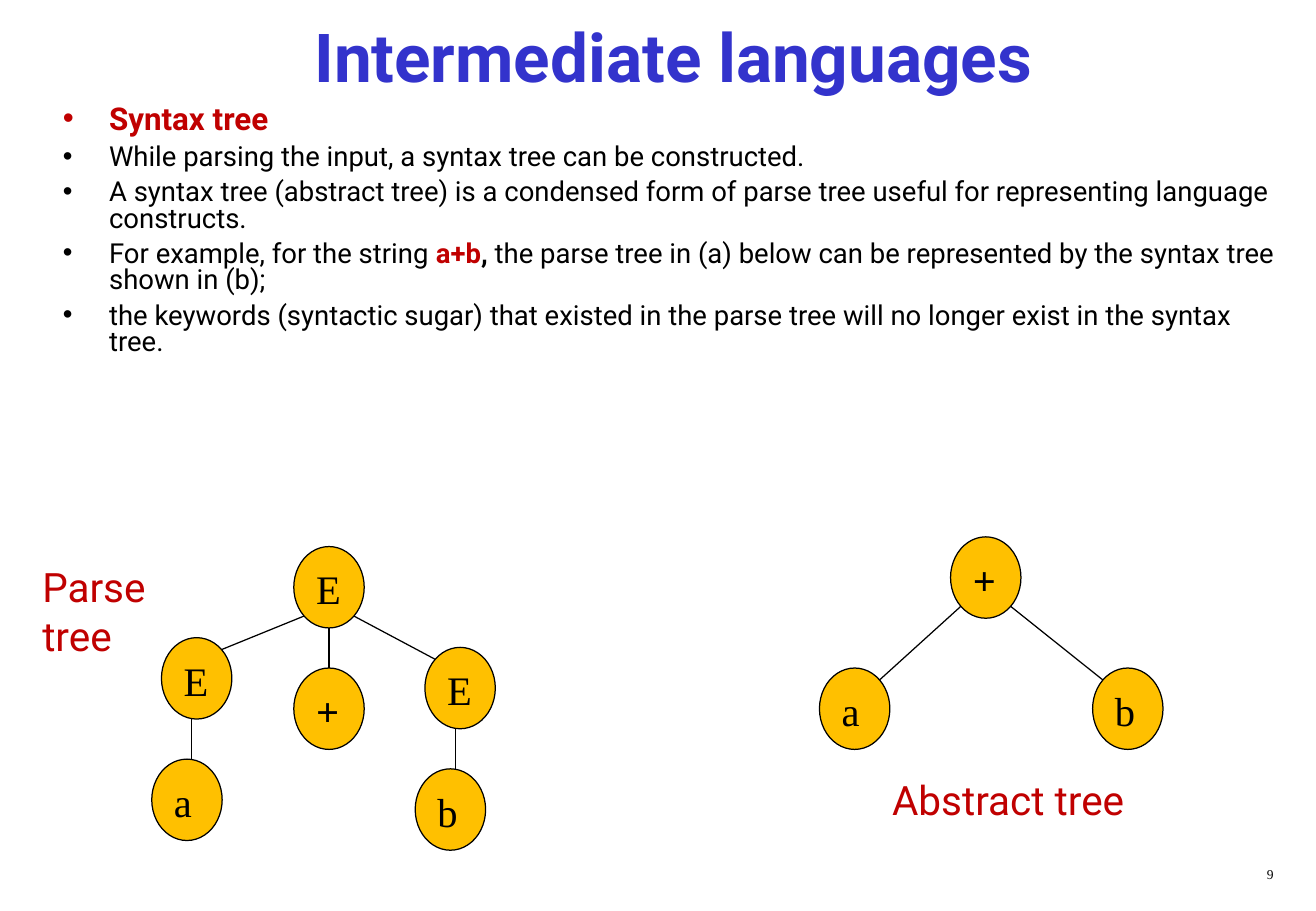
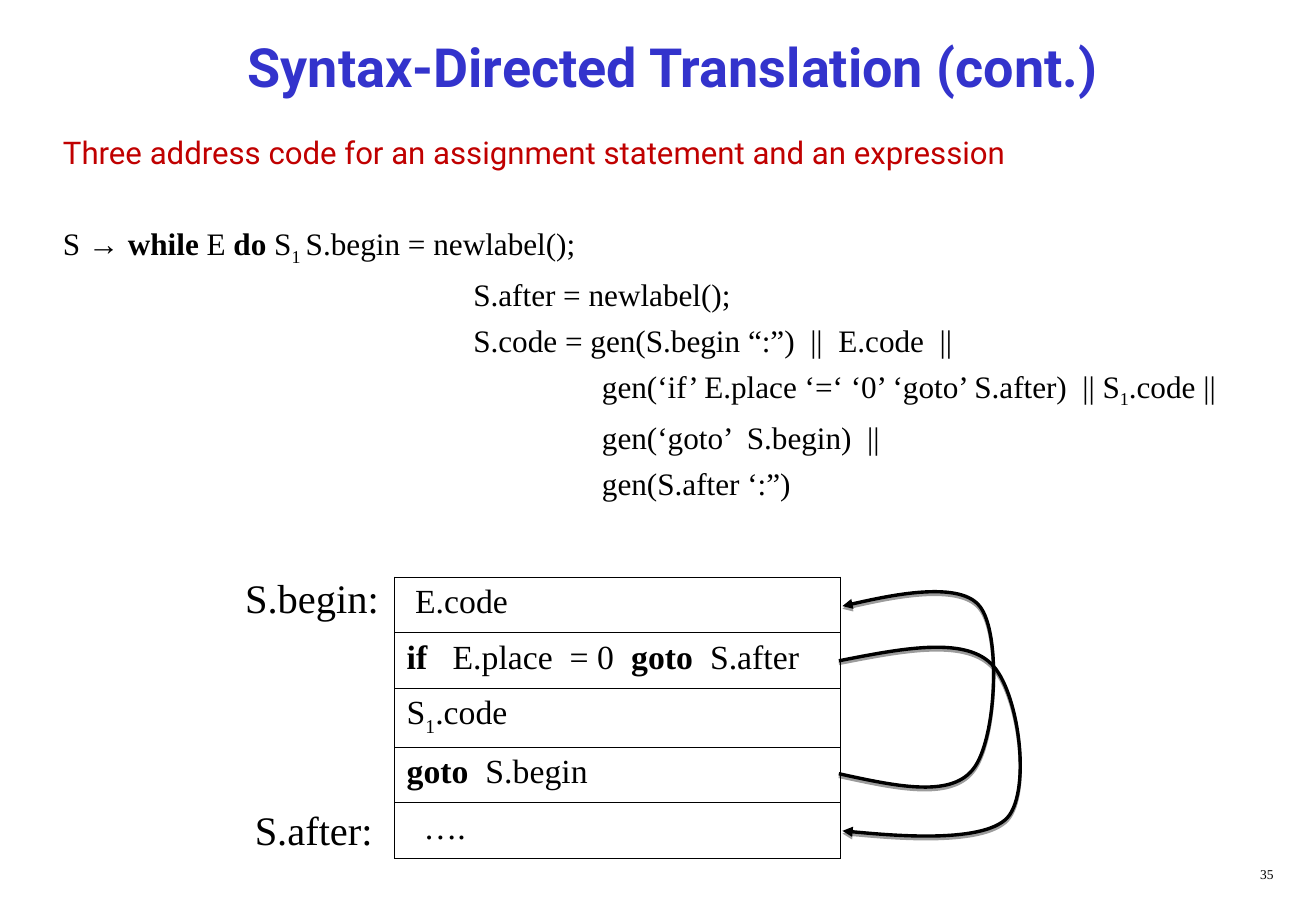
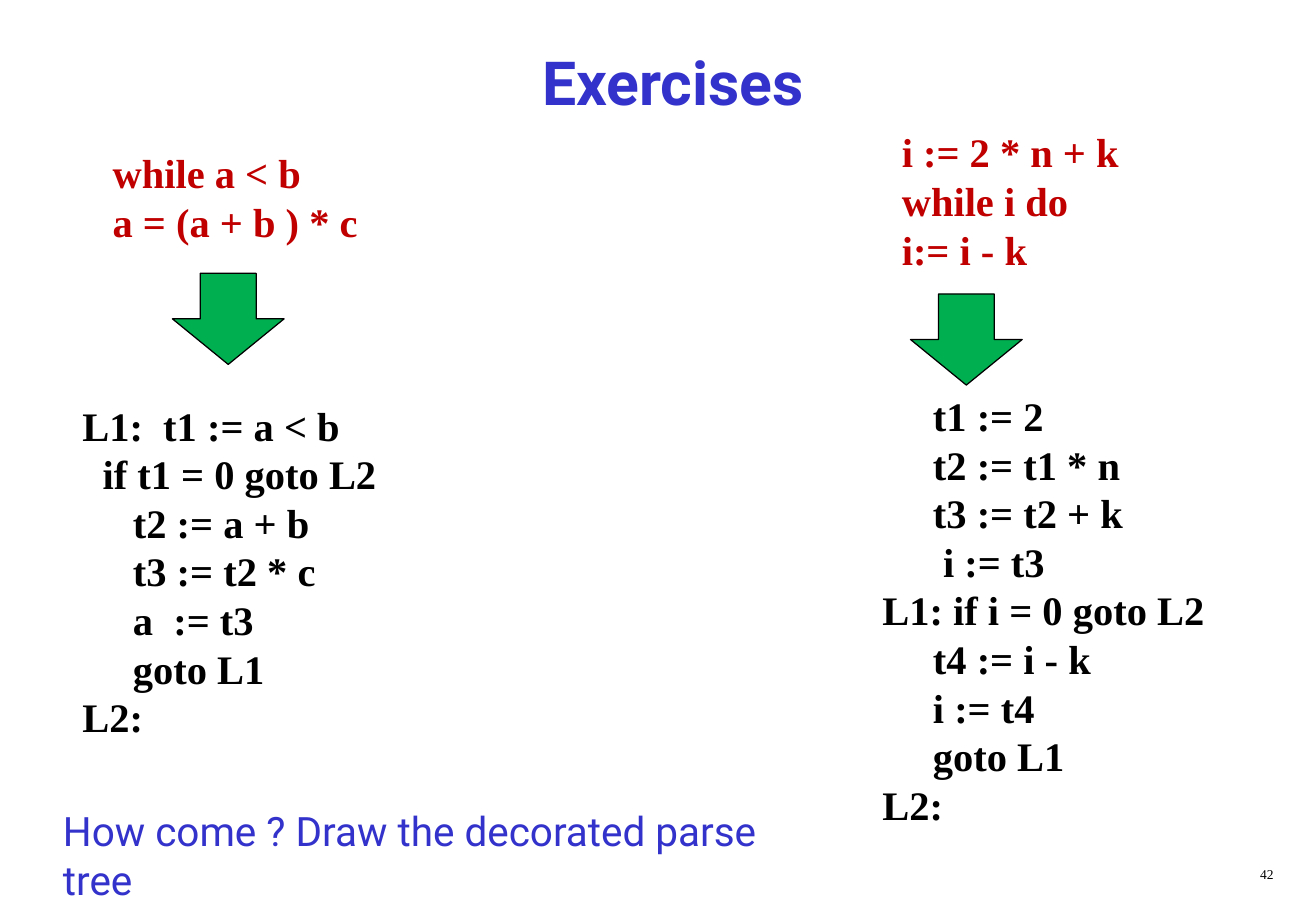
"""Build three slides on intermediate code: syntax trees, translation of while, exercises."""
import math

import pptx
import pptx.dml.color
import pptx.enum.shapes
import pptx.enum.text
import pptx.oxml
import pptx.oxml.ns
import pptx.util
from lxml import etree

Inches = pptx.util.Inches
Pt = pptx.util.Pt
RGBColor = pptx.dml.color.RGBColor
MSO_SHAPE = pptx.enum.shapes.MSO_SHAPE
PP_ALIGN = pptx.enum.text.PP_ALIGN
qn = pptx.oxml.ns.qn
NS = pptx.oxml.ns.nsdecls("a")

BLUE = RGBColor(0x33, 0x33, 0xCC)
RED = RGBColor(0xC0, 0x00, 0x00)
BLACK = RGBColor(0x00, 0x00, 0x00)
AMBER = RGBColor(0xFF, 0xC0, 0x00)
GREEN = RGBColor(0x00, 0xB0, 0x50)
SANS = "Roboto"
SERIF = "Times New Roman"


def write(tf, text, size=24, font=SERIF, color=BLACK, bold=False, align=PP_ALIGN.LEFT,
          before=0, spacing=1.0, left=0, bullet=False, tab=None):
    """Add a paragraph given as a string or as (string, run format) pairs."""
    p = tf.paragraphs[0]
    if p.runs:
        p = tf.add_paragraph()
    p.alignment = align
    p.line_spacing = spacing
    p.space_before = Pt(before)
    pPr = p._p.get_or_add_pPr()
    pPr.set("marL", str(Inches(left)))
    pPr.set("indent", str(-Inches(left) if bullet else 0))
    if bullet:
        pPr.append(pptx.oxml.parse_xml(f'<a:buClr {NS}><a:srgbClr val="{color}"/></a:buClr>'))
        pPr.append(pptx.oxml.parse_xml(f'<a:buFont {NS} typeface="Arial"/>'))
        pPr.append(pptx.oxml.parse_xml(f'<a:buChar {NS} char="•"/>'))
    if tab:
        pPr.append(pptx.oxml.parse_xml(
            f'<a:tabLst {NS}><a:tab pos="{Inches(tab)}" algn="l"/></a:tabLst>'))
    for part, fmt in [(text, {})] if isinstance(text, str) else text:
        r = p.add_run()
        r.text = part
        r.font.size = Pt(size)
        r.font.name = fmt.get("font", font)
        r.font.bold = fmt.get("bold", bold)
        r.font.color.rgb = fmt.get("color", color)
        if fmt.get("sub"):
            r._r.get_or_add_rPr().set("baseline", "-25000")


def add_box(s, x, y, w, h):
    """Add a wrapping text box and return its text frame."""
    tf = s.shapes.add_textbox(Inches(x), Inches(y), Inches(w), Inches(h)).text_frame
    tf.word_wrap = True
    return tf


prs = pptx.Presentation()
prs.slide_width = Inches(10.84)
prs.slide_height = Inches(7.5)

slides = []
for title, size, height, number in [
    ("Intermediate languages", 40, 0.58, "9"),
    ("Syntax-Directed Translation (cont.)", 32, 0.75, "35"),
    ("Exercises", 36, 1, "42"),
]:
    s = prs.slides.add_slide(prs.slide_layouts[5])
    sp = s.shapes.title
    sp.left, sp.top, sp.width, sp.height = Inches(0.42), Inches(0.17), Inches(10.25), Inches(height)
    tf = sp.text_frame
    tf.auto_size = pptx.enum.text.MSO_AUTO_SIZE.NONE
    tf.vertical_anchor = pptx.enum.text.MSO_ANCHOR.MIDDLE
    write(tf, title, size=size, font=SANS, color=BLUE, bold=True, align=PP_ALIGN.CENTER)
    write(add_box(s, 8.33, 7.08, 2.26, 0.25), number, size=8, align=PP_ALIGN.RIGHT)
    slides.append(s)
tree_slide, while_slide, exercise_slide = slides

BOLD = {"bold": True}
SUB = {"sub": True}

s = tree_slide
tf = add_box(s, 0.42, 0.83, 10.25, 2.58)
write(tf, "Syntax tree", size=18.6, font=SANS, color=RED, bold=True,
      spacing=0.8, left=0.38, bullet=True)
for text in [
    "While parsing the input, a syntax tree can be constructed.",
    "A syntax tree (abstract tree) is a condensed form of parse tree useful for "
    "representing language constructs.",
    [("For example, for the string ", {}), ("a+b", {"bold": True, "color": RED}), (", ", BOLD),
     ("the parse tree in (a) below can be represented by the syntax tree shown in (b);", {})],
    "the keywords (syntactic sugar) that existed in the parse tree will no longer exist "
    "in the syntax tree.",
]:
    write(tf, text, size=16.3, font=SANS, before=5.2, spacing=0.8, left=0.38, bullet=True)

NODE_W, NODE_H = 0.58, 0.67
DIAGONAL = math.sqrt(0.5) / 2
trees = [
    ([("E", 2.42, 4.5), ("E", 1.33, 5.25), ("+", 2.42, 5.5), ("E", 3.5, 5.33),
      ("a", 1.25, 6.25), ("b", 3.42, 6.33)],
     [(0, 1), (0, 2), (0, 3), (1, 4), (3, 5)]),
    ([("+", 7.83, 4.42), ("a", 6.75, 5.5), ("b", 9, 5.5)],
     [(0, 1), (0, 2)]),
]
for nodes, edges in trees:
    for label, x, y in nodes:
        sp = s.shapes.add_shape(MSO_SHAPE.OVAL, Inches(x), Inches(y), Inches(NODE_W), Inches(NODE_H))
        sp.shadow.inherit = False
        sp.fill.solid()
        sp.fill.fore_color.rgb = AMBER
        sp.line.color.rgb = BLACK
        sp.line.width = Pt(0.75)
        sp.text_frame.vertical_anchor = pptx.enum.text.MSO_ANCHOR.TOP
        write(sp.text_frame, label, bold=label == "+")
    for parent, child in edges:
        px, py = nodes[parent][1] + NODE_W / 2, nodes[parent][2] + NODE_H / 2
        cx, cy = nodes[child][1] + NODE_W / 2, nodes[child][2] + NODE_H / 2
        if abs(cx - px) < NODE_W / 2:
            x1 = x2 = (px + cx) / 2
            y1, y2 = py + NODE_H / 2, cy - NODE_H / 2
        else:
            dx = math.copysign(NODE_W * DIAGONAL, cx - px)
            x1, x2 = px + dx, cx - dx
            y1, y2 = py + NODE_H * DIAGONAL, cy - NODE_H * DIAGONAL
        line = s.shapes.add_connector(pptx.enum.shapes.MSO_CONNECTOR.STRAIGHT,
                                      Inches(x1), Inches(y1), Inches(x2), Inches(y2))
        line.line.color.rgb = BLACK
        line.line.width = Pt(0.75)
        etree.SubElement(line._element.spPr, qn("a:effectLst"))
write(add_box(s, 0.25, 4.58, 1.17, 0.9), "Parse tree", font=SANS, color=RED)
write(add_box(s, 7.25, 6.33, 2.17, 0.9), "Abstract tree", font=SANS, color=RED)

s = while_slide
tf = add_box(s, 0.42, 1.08, 10.25, 3.17)
write(tf, "Three address code for an assignment statement and an expression",
      size=18.5, font=SANS, color=RED, spacing=0.9)
write(tf, [("S ", {}), ("→ ", {"font": "Arial"}), ("while", BOLD), (" E ", {}), ("do", BOLD),
           (" S", {}), ("1", SUB), ("\tS.begin = newlabel();", {})],
      size=18.5, before=31.5, tab=2.38)
for left, text in [
    (3.38, "S.after = newlabel();"),
    (3.38, "S.code = gen(S.begin “:”)  ||  E.code  ||"),
    (4.44, [("gen(‘if’ E.place ‘=‘ ‘0’ ‘goto’ S.after)  || S", {}), ("1", SUB), (".code ||", {})]),
    (4.44, "gen(‘goto’  S.begin)  ||"),
    (4.44, "gen(S.after ‘:”)"),
]:
    write(tf, text, size=18.5, before=5, left=left)

rows = [
    (0.46, " E.code"),
    (0.46, [("if", BOLD), ("   E.place  = 0  ", {}), ("goto", BOLD), ("  S.after", {})]),
    (0.48, [("S", {}), ("1", SUB), (".code", {})]),
    (0.46, [("goto", BOLD), ("  S.begin", {})]),
    (0.46, "  …."),
]
table = s.shapes.add_table(len(rows), 1, Inches(3.25), Inches(4.75),
                           Inches(3.67), Inches(2.32)).table
table.first_row = False
table.horz_banding = False
for row, (height, text) in zip(table.rows, rows):
    row.height = Inches(height)
    cell = row.cells[0]
    tcPr = cell._tc.get_or_add_tcPr()
    for side in ("lnL", "lnR", "lnT", "lnB"):
        tcPr.append(pptx.oxml.parse_xml(
            f'<a:{side} {NS} w="{Pt(0.45)}"><a:solidFill><a:srgbClr val="{BLACK}"/>'
            f'</a:solidFill></a:{side}>'))
    cell.fill.background()
    write(cell.text_frame, text, size=20)
write(add_box(s, 1.92, 4.67, 1.42, 0.5), "S.begin:")
write(add_box(s, 2, 6.58, 1.42, 0.5), "S.after:")

jumps = [
    [(6.91, 5.44), (7.42, 5.34), (7.93, 5.24), (8.16, 5.46), (8.39, 5.67),
     (8.5, 6.5), (8.3, 6.73), (8.09, 6.96), (6.94, 6.84), (6.94, 6.84)],
    [(6.91, 6.37), (7.37, 6.47), (7.82, 6.57), (8.01, 6.34), (8.21, 6.11),
     (8.25, 5.21), (8.07, 4.99), (7.89, 4.76), (6.94, 4.99), (6.94, 4.99)],
]
for jump in jumps:
    points = [(Inches(x), Inches(y)) for x, y in jump]
    builder = s.shapes.build_freeform(*points[0])
    builder.add_line_segments(points[1:], close=False)
    sp = builder.convert_to_shape()
    segments = list(sp._element.iter(qn("a:lnTo")))
    for i in range(0, len(segments), 3):
        curve = etree.SubElement(segments[i].getparent(), qn("a:cubicBezTo"))
        for segment in segments[i:i + 3]:
            curve.append(segment[0])
            segment.getparent().remove(segment)
    sp.fill.background()
    sp.line.color.rgb = BLACK
    sp.line.width = Pt(2)
    sp.shadow.inherit = False
    spPr = sp._element.spPr
    etree.SubElement(spPr.find(qn("a:ln")), qn("a:tailEnd"), type="triangle")
    spPr.find(qn("a:effectLst")).append(pptx.oxml.parse_xml(
        f'<a:outerShdw {NS} blurRad="0" dist="{Pt(1.6)}" dir="5400000" rotWithShape="0">'
        f'<a:srgbClr val="{BLACK}"><a:alpha val="38000"/></a:srgbClr></a:outerShdw>'))

s = exercise_slide
for x, y, w, h, color, code in [
    (7.33, 1, 2.08, 1.3, RED, ["i := 2 * n + k", "while i do", "i:= i - k"]),
    (7.17, 3.17, 3.42, 3.7, BLACK, [
        "     t1 := 2",
        "     t2 := t1 * n",
        "     t3 := t2 + k",
        "      i := t3",
        "L1: if i = 0 goto L2",
        "     t4 := i - k",
        "     i := t4",
        "     goto L1",
        "L2:",
    ]),
    (0.58, 1.17, 2.83, 0.9, RED, ["   while a < b", "   a = (a + b ) * c"]),
    (0.58, 3.25, 3.42, 2.9, BLACK, [
        "L1:  t1 := a < b",
        "  if t1 = 0 goto L2",
        "     t2 := a + b",
        "     t3 := t2 * c",
        "     a  := t3",
        "     goto L1",
        "L2:",
    ]),
]:
    tf = add_box(s, x, y, w, h)
    for text in code:
        write(tf, text, color=color, bold=True)
for x, y in [(7.5, 2.42), (1.42, 2.25)]:
    sp = s.shapes.add_shape(MSO_SHAPE.DOWN_ARROW, Inches(x), Inches(y), Inches(0.92), Inches(0.75))
    sp.shadow.inherit = False
    sp.fill.solid()
    sp.fill.fore_color.rgb = GREEN
    sp.line.color.rgb = BLACK
    sp.line.width = Pt(0.75)
write(add_box(s, 0.42, 6.59, 6.08, 0.9), "How come ? Draw the decorated parse tree",
      font=SANS, color=BLUE)

prs.save("out.pptx")
